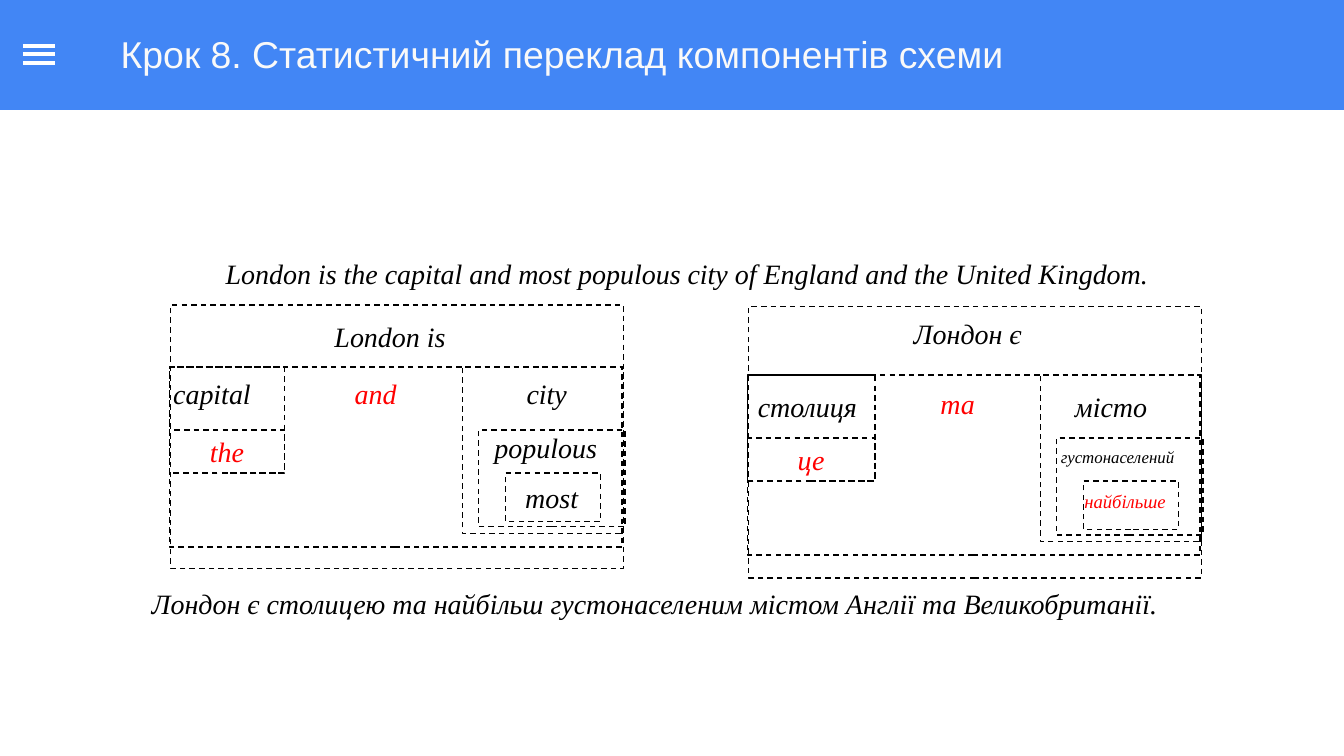
from dataclasses import dataclass

from lxml import etree
from pptx import Presentation
from pptx.dml.color import RGBColor
from pptx.enum.dml import MSO_LINE
from pptx.enum.shapes import MSO_CONNECTOR, MSO_SHAPE
from pptx.enum.text import MSO_ANCHOR, PP_ALIGN
from pptx.oxml.ns import qn
from pptx.util import Emu, Pt

PX = 9144  # 100 px to the inch
DASH = MSO_LINE.DASH
RECTANGLE = MSO_SHAPE.RECTANGLE
STRAIGHT = MSO_CONNECTOR.STRAIGHT
TOP, MIDDLE = MSO_ANCHOR.TOP, MSO_ANCHOR.MIDDLE
LEFT, CENTER = PP_ALIGN.LEFT, PP_ALIGN.CENTER
BLACK, RED, WHITE, BLUE, OFF_WHITE = "000000", "FF0000", "FFFFFF", "4286F5", "F9F9F9"


@dataclass
class Box:
    left: int
    top: int
    width: int
    height: int

    def emu(self) -> list[Emu]:
        return [px(n) for n in (self.left, self.top, self.width, self.height)]


@dataclass
class Label:
    text: str
    box: Box
    color: str = BLACK
    size: int = 15
    font: str = "Times New Roman"
    italic: bool = True
    anchor: MSO_ANCHOR = TOP
    align: PP_ALIGN = LEFT
    spaced: bool = False


@dataclass
class Panel:
    """Nested frames of one sentence, placed by the corner of its inner frame."""
    left: int
    top: int
    outer: Box
    noun_width: int
    article: str


def px(length: int) -> Emu:
    return Emu(length * PX)


def rgb(color: str) -> RGBColor:
    return RGBColor.from_string(color)


def write(shape, label: Label) -> None:
    frame = shape.text_frame
    frame.word_wrap = True
    frame.vertical_anchor = label.anchor
    frame.margin_left = frame.margin_right = px(10)
    frame.margin_top = frame.margin_bottom = px(10)
    paragraph = frame.paragraphs[0]
    paragraph.text = label.text
    paragraph.alignment = label.align
    if label.spaced:
        paragraph.line_spacing = 1.15
        paragraph.space_before = paragraph.space_after = Pt(5)
    font = paragraph.font
    font.name, font.size, font.italic = label.font, Pt(label.size), label.italic
    font.color.rgb = rgb(label.color)


def add_label(slide, label: Label) -> None:
    write(slide.shapes.add_textbox(*label.box.emu()), label)


def add_frame(slide, box: Box):
    frame = slide.shapes.add_shape(RECTANGLE, *box.emu())
    frame.shadow.inherit = False
    frame.fill.background()
    frame.line.color.rgb = rgb(BLACK)
    frame.line.width = Pt(0.75)
    frame.line.dash_style = DASH
    return frame


def add_panel(slide, panel: Panel) -> None:
    x, y = panel.left, panel.top
    add_frame(slide, panel.outer)
    for box in (
        Box(x, y, 337, 134),
        Box(x, y, panel.noun_width, 79),
        Box(x + 218, y, 120, 124),
        Box(x + 230, y + 47, 109, 72),
        Box(x + 250, y + 79, 71, 36),
    ):
        add_frame(slide, box)
    cell = Box(x, y + 47, panel.noun_width, 32)
    write(add_frame(slide, cell),
          Label(panel.article, cell, RED, anchor=MIDDLE, align=CENTER))


def add_menu_bar(slide, y: int) -> None:
    bar = slide.shapes.add_connector(STRAIGHT, px(17), px(y), px(41), px(y))
    bar.line.color.rgb = rgb(WHITE)
    bar.line.width = Pt(2.25)
    etree.SubElement(bar._element.spPr, qn("a:effectLst"))


PANELS = [
    Panel(126, 273, Box(127, 227, 337, 196), 86, "the"),
    Panel(556, 279, Box(557, 228, 337, 202), 95, "це"),
]

LABELS = [
    # Title
    Label("Крок 8. Статистичний переклад компонентів схеми", Box(80, 13, 884, 56),
          OFF_WHITE, 20, "Arial", italic=False),
    # Sentence and its translation
    Label("London is the capital and most populous city of England and the United Kingdom.",
          Box(158, 181, 738, 47)),
    Label("Лондон є столицею та найбільш густонаселеним містом Англії та Великобританії.",
          Box(103, 423, 823, 152), spaced=True),
    # English components
    Label("London is", Box(239, 228, 109, 47)),
    Label("capital", Box(119, 270, 86, 47)),
    Label("and", Box(241, 277, 77, 32), RED, anchor=MIDDLE, align=CENTER),
    Label("city", Box(382, 270, 66, 47)),
    Label("populous", Box(358, 317, 102, 32), anchor=MIDDLE),
    Label("most", Box(381, 354, 77, 32), anchor=MIDDLE),
    # Ukrainian components
    Label("Лондон є", Box(670, 222, 109, 47), spaced=True),
    Label("столиця", Box(554, 276, 113, 47), spaced=True),
    Label("та", Box(674, 284, 77, 32), RED, anchor=MIDDLE, align=CENTER),
    Label("місто", Box(790, 276, 102, 47), spaced=True),
    Label("густонаселений", Box(775, 323, 113, 32), size=9,
          anchor=MIDDLE, align=CENTER, spaced=True),
    Label("найбільше", Box(797, 357, 113, 32), RED, 10, anchor=MIDDLE),
]


def main() -> None:
    deck = Presentation()
    deck.slide_width = px(1000)
    deck.slide_height = Emu(deck.slide_width * 9 // 16)
    slide = deck.slides.add_slide(deck.slide_layouts[6])

    # Header band with menu icon
    band = slide.shapes.add_shape(RECTANGLE, *Box(0, -1, 1000, 82).emu())
    band.shadow.inherit = False
    band.fill.solid()
    band.fill.fore_color.rgb = rgb(BLUE)
    band.line.color.rgb = rgb(BLUE)
    band.line.width = Pt(0.75)
    for y in (34, 40, 47):
        add_menu_bar(slide, y)

    # Schemes and their words
    for panel in PANELS:
        add_panel(slide, panel)
    for label in LABELS:
        add_label(slide, label)

    deck.save("out.pptx")


if __name__ == "__main__":
    main()
